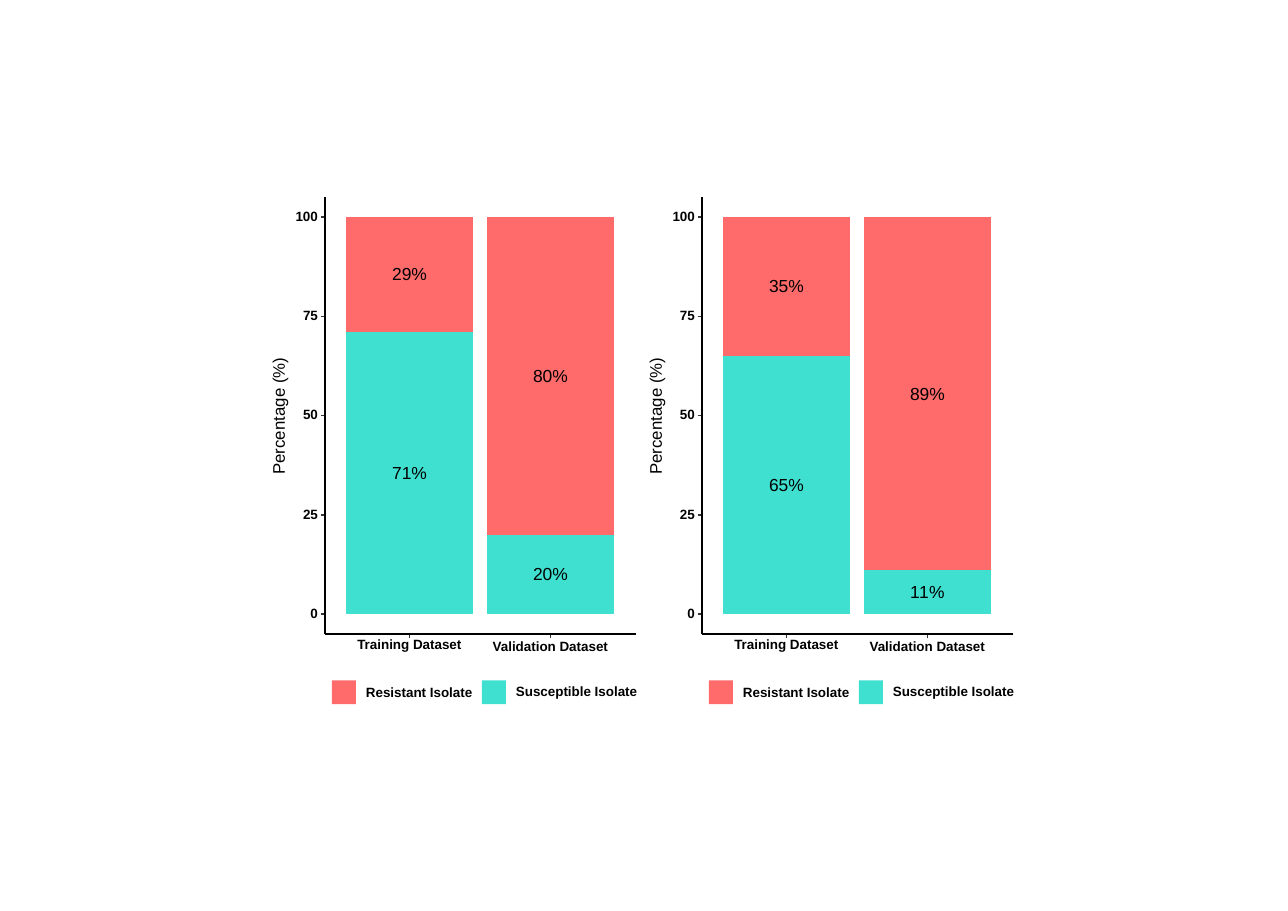
"""Build a slide with two stacked percentage charts of resistant and susceptible isolates."""
from pptx import Presentation
from pptx.chart.data import CategoryChartData
from pptx.dml.color import RGBColor
from pptx.enum.chart import XL_CHART_TYPE, XL_LABEL_POSITION
from pptx.enum.shapes import MSO_CONNECTOR, MSO_SHAPE
from pptx.enum.text import MSO_ANCHOR, PP_ALIGN
from pptx.oxml import parse_xml
from pptx.oxml.ns import nsdecls, qn
from pptx.util import Emu, Pt

PX = 914400 / 110.1
SLIDE_WIDTH, SLIDE_HEIGHT = Emu(10698163), Emu(7562850)
COLORS = {"resistant": "FF6A6A", "susceptible": "40E0D0", "axis": "000000",
          "tick": "333333", "text": "000000"}
SMALL = {"name": "Arial", "size": Pt(8.8), "bold": True}
AXIS_TITLE = {"name": "Arial", "size": Pt(11), "bold": False}
VALUE = {"name": "Arial", "size": Pt(11.4), "bold": False}
FRAME = {"margin_left": 0, "margin_right": 0, "margin_top": 0, "margin_bottom": 0,
         "vertical_anchor": MSO_ANCHOR.MIDDLE, "word_wrap": False}

PANEL_STEP = 377
PLOT_LEFT, PLOT_TOP, PLOT_WIDTH, PLOT_HEIGHT = 339, 217, 282, 397
AXIS_LEFT, AXIS_RIGHT, AXIS_TOP, AXIS_BOTTOM = 325, 636, 197, 634
CATEGORIES = [("Training Dataset", 645), ("Validation Dataset", 647)]
LEGEND = [("Resistant Isolate", "resistant", 332, 693),
          ("Susceptible Isolate", "susceptible", 482, 692)]
PANELS = [{"Susceptible Isolate": (71, 20), "Resistant Isolate": (29, 80)},
          {"Susceptible Isolate": (65, 11), "Resistant Isolate": (35, 89)}]

presentation = Presentation()
presentation.slide_width = SLIDE_WIDTH
presentation.slide_height = SLIDE_HEIGHT
slide = presentation.slides.add_slide(presentation.slide_layouts[6])


def add_label(text, left, middle, width, alignment, font_format):
    height = 18
    box = slide.shapes.add_textbox(*[round(value * PX) for value in
                                     (left, middle - height / 2, width, height)])
    for name, value in FRAME.items():
        setattr(box.text_frame, name, value)
    paragraph = box.text_frame.paragraphs[0]
    paragraph.alignment = alignment
    paragraph.line_spacing = font_format["size"]
    run = paragraph.add_run()
    run.text = text
    for name, value in font_format.items():
        setattr(run.font, name, value)
    run.font.color.rgb = RGBColor.from_string(COLORS["text"])
    return box


def add_line(color, *ends):
    line = slide.shapes.add_connector(MSO_CONNECTOR.STRAIGHT,
                                      *[round(value * PX) for value in ends])
    line.line.color.rgb = RGBColor.from_string(COLORS[color])
    line.line.width = Pt(1.07)
    line._element.spPr.append(parse_xml(f"<a:effectLst {nsdecls('a')}/>"))


for panel, series_values in enumerate(PANELS):
    shift = panel * PANEL_STEP
    axis_left, axis_right = AXIS_LEFT + shift, AXIS_RIGHT + shift

    chart_data = CategoryChartData(number_format='0"%"')
    chart_data.categories = [name for name, middle in CATEGORIES]
    for name, values in series_values.items():
        chart_data.add_series(name, values)
    chart = slide.shapes.add_chart(
        XL_CHART_TYPE.COLUMN_STACKED,
        *[round(value * PX) for value in
          (PLOT_LEFT + shift, PLOT_TOP, PLOT_WIDTH, PLOT_HEIGHT)], chart_data).chart
    chart.has_legend = False
    chart.has_title = False
    for name, value in {"minimum_scale": 0, "maximum_scale": 100,
                        "has_major_gridlines": False, "visible": False}.items():
        setattr(chart.value_axis, name, value)
    chart.category_axis.visible = False

    plot = chart.plots[0]
    for name, value in {"gap_width": 11, "overlap": 100, "vary_by_categories": False,
                        "has_data_labels": True}.items():
        setattr(plot, name, value)
    for name, value in {"show_value": True, "number_format": '0"%"',
                        "number_format_is_linked": False,
                        "position": XL_LABEL_POSITION.CENTER}.items():
        setattr(plot.data_labels, name, value)
    for name, value in VALUE.items():
        setattr(plot.data_labels.font, name, value)
    plot.data_labels.font.color.rgb = RGBColor.from_string(COLORS["text"])
    for series, color in zip(plot.series, ("susceptible", "resistant")):
        series.format.fill.solid()
        series.format.fill.fore_color.rgb = RGBColor.from_string(COLORS[color])
        series.format.line.fill.background()

    plot_area = chart._chartSpace.chart.plotArea
    for layout in plot_area.findall(qn("c:layout")):
        plot_area.remove(layout)
    plot_area.insert(0, parse_xml(
        f"<c:layout {nsdecls('c')}><c:manualLayout><c:layoutTarget val='inner'/>"
        "<c:xMode val='edge'/><c:yMode val='edge'/><c:x val='0'/><c:y val='0'/>"
        "<c:w val='1'/><c:h val='1'/></c:manualLayout></c:layout>"))

    for percentage in range(0, 101, 25):
        tick = PLOT_TOP + PLOT_HEIGHT * (100 - percentage) / 100
        add_line("tick", axis_left - 4, tick, axis_left, tick)
        add_label(str(percentage), axis_left - 37, tick, 30, PP_ALIGN.RIGHT, SMALL)

    for index, (name, middle) in enumerate(CATEGORIES):
        center = PLOT_LEFT + shift + PLOT_WIDTH * (2 * index + 1) / 4
        add_line("tick", center, AXIS_BOTTOM + 4, center, AXIS_BOTTOM)
        add_label(name, center - 60, middle, 120, PP_ALIGN.CENTER, SMALL)

    add_line("axis", axis_left, AXIS_BOTTOM, axis_left, AXIS_TOP)
    add_line("axis", axis_left, AXIS_BOTTOM, axis_right, AXIS_BOTTOM)
    axis_title = add_label("Percentage (%)", axis_left - 105, 416, 120,
                           PP_ALIGN.CENTER, AXIS_TITLE)
    axis_title.rotation = 270

    for name, color, left, middle in LEGEND:
        swatch = slide.shapes.add_shape(
            MSO_SHAPE.RECTANGLE,
            *[round(value * PX) for value in (left + shift, 680, 24, 24)])
        swatch.shadow.inherit = False
        swatch.fill.solid()
        swatch.fill.fore_color.rgb = RGBColor.from_string(COLORS[color])
        swatch.line.fill.background()
        add_label(name, left + shift + 34, middle, 124, PP_ALIGN.LEFT, SMALL)

presentation.save("out.pptx")
